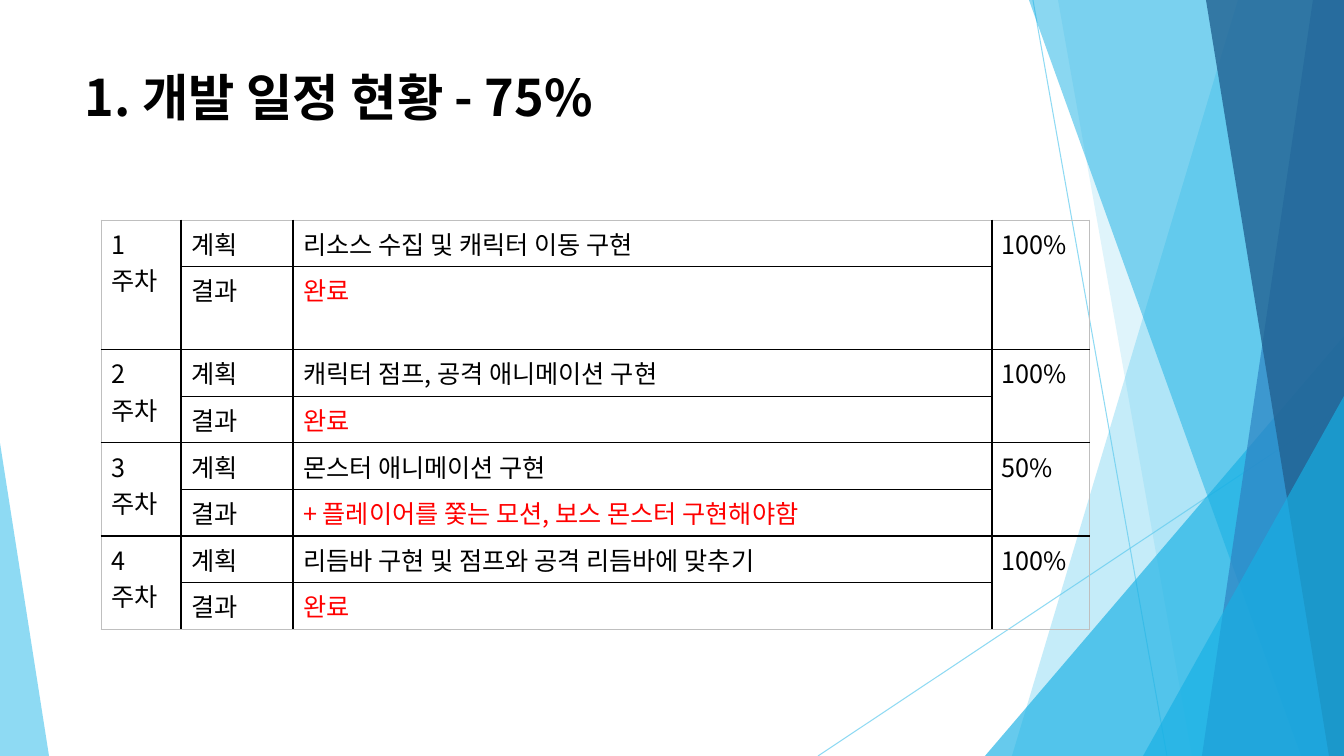
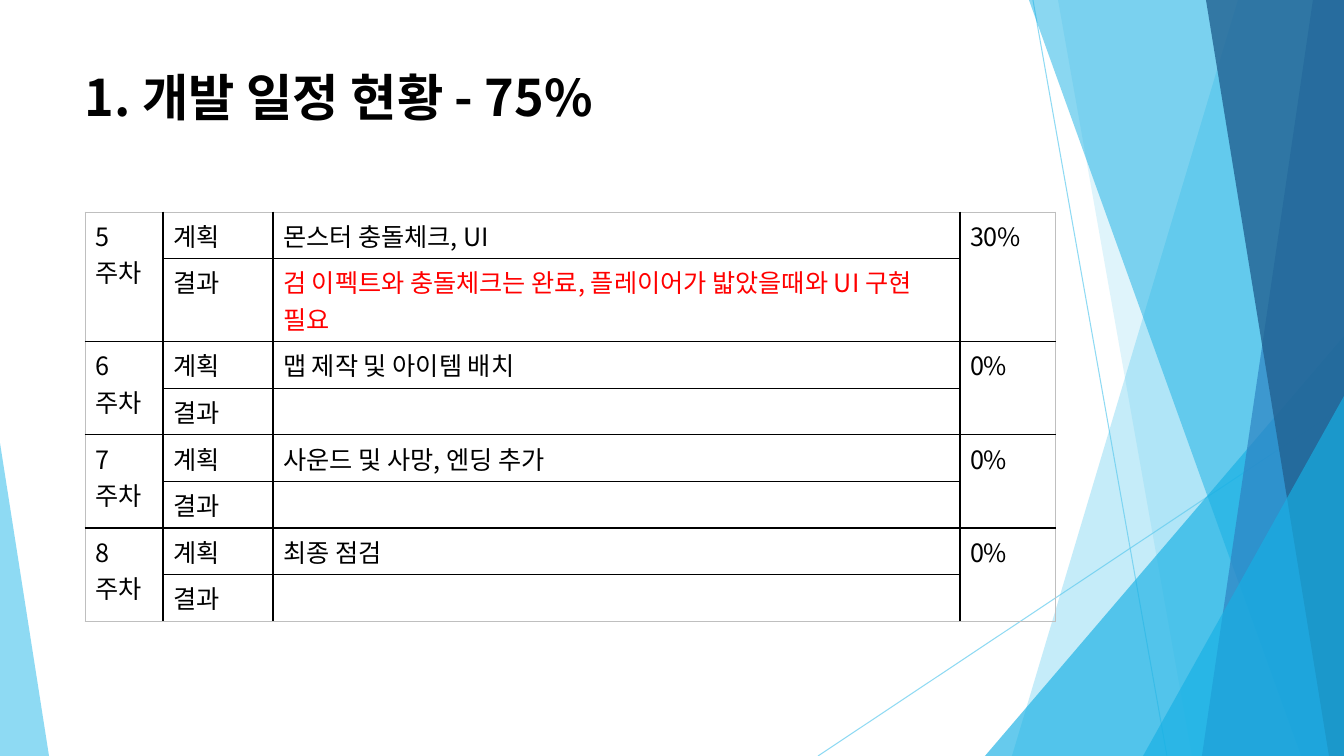
"""Build two slides of a weekly development schedule over a faceted blue backdrop."""
import lxml.etree
import pptx
import pptx.dml.color
import pptx.enum.shapes
import pptx.oxml
import pptx.oxml.ns
import pptx.util

RGB = pptx.dml.color.RGBColor
SHAPE = pptx.enum.shapes.MSO_SHAPE
qn = pptx.oxml.ns.qn

SLIDE_W, SLIDE_H = 1344, 756
PX = 12192000 / SLIDE_W

BLACK = RGB(0x00, 0x00, 0x00)
RED = RGB(0xFF, 0x00, 0x00)
GRAY = RGB(0xBF, 0xBF, 0xBF)
SKY = RGB(0x5F, 0xCB, 0xEF)
CYAN = RGB(0x17, 0xB0, 0xE4)
BLUE = RGB(0x2E, 0x83, 0xC3)
NAVY = RGB(0x22, 0x62, 0x92)

FONT = "Noto Sans CJK KR"
TITLE = "1. 개발 일정 현황 - 75%"
TITLE_BOX = (75, 68, 948, 145)
TITLE_FORMAT = {"size": pptx.util.Pt(36), "bold": True}
CELL_FORMAT = {"size": pptx.util.Pt(18), "bold": False}

RAYS = [((1033, 0), (1167, 756)), ((1344, 406), (818, 756))]
FACETS = [
    ("band", (1238, 1012), SKY, 36),
    ("band", (1058, 1192), SKY, 20),
    ("triangle", (985, 336, 359, 420, 1), CYAN, 66),
    ("band", (1029, 1301), CYAN, 50),
    ("band", (1313, 1202), BLUE, 70),
    ("band", (1206, 1329), NAVY, 80),
    ("triangle", (1143, 396, 201, 360, 1), CYAN, 66),
    ("triangle", (0, 443, 49, 313, 0), SKY, 70),
]

ROW_H, TALL_ROW, TALL_H = 46, 1, 83
SLIDES = [
    {"at": (101, 220), "cols": (80, 112, 699, 98), "weeks": [
        ("1주차", "리소스 수집 및 캐릭터 이동 구현", "완료", "100%"),
        ("2주차", "캐릭터 점프, 공격 애니메이션 구현", "완료", "100%"),
        ("3주차", "몬스터 애니메이션 구현", "+ 플레이어를 쫓는 모션, 보스 몬스터 구현해야함", "50%"),
        ("4주차", "리듬바 구현 및 점프와 공격 리듬바에 맞추기", "완료", "100%"),
    ]},
    {"at": (85, 212), "cols": (78, 110, 687, 96), "weeks": [
        ("5주차", "몬스터 충돌체크, UI", "검 이펙트와 충돌체크는 완료, 플레이어가 밟았을때와 UI 구현 필요", "30%"),
        ("6주차", "맵 제작 및 아이템 배치", "", "0%"),
        ("7주차", "사운드 및 사망, 엔딩 추가", "", "0%"),
        ("8주차", "최종 점검", "", "0%"),
    ]},
]


def px(*values):
    return [pptx.util.Emu(round(v * PX)) for v in values]


def set_alpha(fill_parent, percent):
    color = next(fill_parent.iter(qn("a:srgbClr")))
    lxml.etree.SubElement(color, qn("a:alpha")).set("val", str(percent * 1000))


def write(p, text, color, format_values):
    r = p.add_run()
    r.text = text
    r.font.name = FONT
    r.font.color.rgb = color
    for name, value in format_values.items():
        setattr(r.font, name, value)
    latin = r.font._element.find(qn("a:latin"))
    ea = pptx.oxml.parse_xml(f'<a:ea {pptx.oxml.ns.nsdecls("a")} typeface="{FONT}"/>')
    latin.addnext(ea)


def add_facet(shapes, kind, geometry, color, alpha):
    if kind == "band":
        top_x, bottom_x = geometry
        builder = shapes.build_freeform(top_x, 0, scale=PX)
        builder.add_line_segments([(SLIDE_W, 0), (SLIDE_W, SLIDE_H), (bottom_x, SLIDE_H)])
        sp = builder.convert_to_shape()
    else:
        *box, apex = geometry
        sp = shapes.add_shape(SHAPE.ISOSCELES_TRIANGLE, *px(*box))
        sp.adjustments[0] = apex
    sp.shadow.inherit = False
    sp.line.fill.background()
    sp.fill.solid()
    sp.fill.fore_color.rgb = color
    set_alpha(sp._element.spPr, alpha)


def add_backdrop(shapes):
    for start, end in RAYS:
        ray = shapes.add_connector(pptx.enum.shapes.MSO_CONNECTOR.STRAIGHT, *px(*start, *end))
        ray.line.color.rgb = SKY
        ray.line.width = pptx.util.Pt(0.75)
        set_alpha(ray._element.spPr, 70)
        lxml.etree.SubElement(ray._element.spPr, qn("a:effectLst"))
    for facet in FACETS:
        add_facet(shapes, *facet)


def add_title(shapes):
    tf = shapes.add_textbox(*px(*TITLE_BOX)).text_frame
    tf.word_wrap = True
    p = tf.paragraphs[0]
    p.line_spacing = 0.9
    write(p, TITLE, BLACK, TITLE_FORMAT)


def set_borders(cell, outer_sides):
    tc_pr = cell._tc.get_or_add_tcPr()
    for side in "LRTB":
        color, width = (GRAY, 0.75) if side in outer_sides else (BLACK, 1)
        ln = lxml.etree.SubElement(tc_pr, qn(f"a:ln{side}"), w=str(pptx.util.Pt(width)))
        fill = lxml.etree.SubElement(ln, qn("a:solidFill"))
        lxml.etree.SubElement(fill, qn("a:srgbClr"), val=str(color))


def add_schedule(shapes, at, cols, weeks):
    rows = []
    for week, plan, result, progress in weeks:
        rows += [(week, "계획", plan, progress), ("", "결과", result, "")]
    heights = [TALL_H if i == TALL_ROW else ROW_H for i in range(len(rows))]
    frame = shapes.add_table(len(rows), len(cols), *px(*at, sum(cols), sum(heights)))
    table = frame.table
    table.first_row = table.horz_banding = False
    for column, width in zip(table.columns, px(*cols)):
        column.width = width
    for row, height in zip(table.rows, px(*heights)):
        row.height = height
    last_row, last_col = len(rows) - 1, len(cols) - 1
    for i, texts in enumerate(rows):
        for j, text in enumerate(texts):
            cell = table.cell(i, j)
            merged = j in (0, last_col)
            if merged and i % 2 == 0:
                cell.merge(table.cell(i + 1, j))
            bottom = i + 1 if merged and i % 2 == 0 else i
            edges = {"L": j == 0, "R": j == last_col, "T": i == 0, "B": bottom == last_row}
            set_borders(cell, [side for side, outer in edges.items() if outer])
            cell.fill.background()
            if text:
                color = RED if i % 2 and j == 2 else BLACK
                write(cell.text_frame.paragraphs[0], text, color, CELL_FORMAT)


def main():
    prs = pptx.Presentation()
    prs.slide_width, prs.slide_height = px(SLIDE_W, SLIDE_H)
    for content in SLIDES:
        shapes = prs.slides.add_slide(prs.slide_layouts[6]).shapes
        add_backdrop(shapes)
        add_schedule(shapes, **content)
        add_title(shapes)
    prs.save("out.pptx")


if __name__ == "__main__":
    main()
